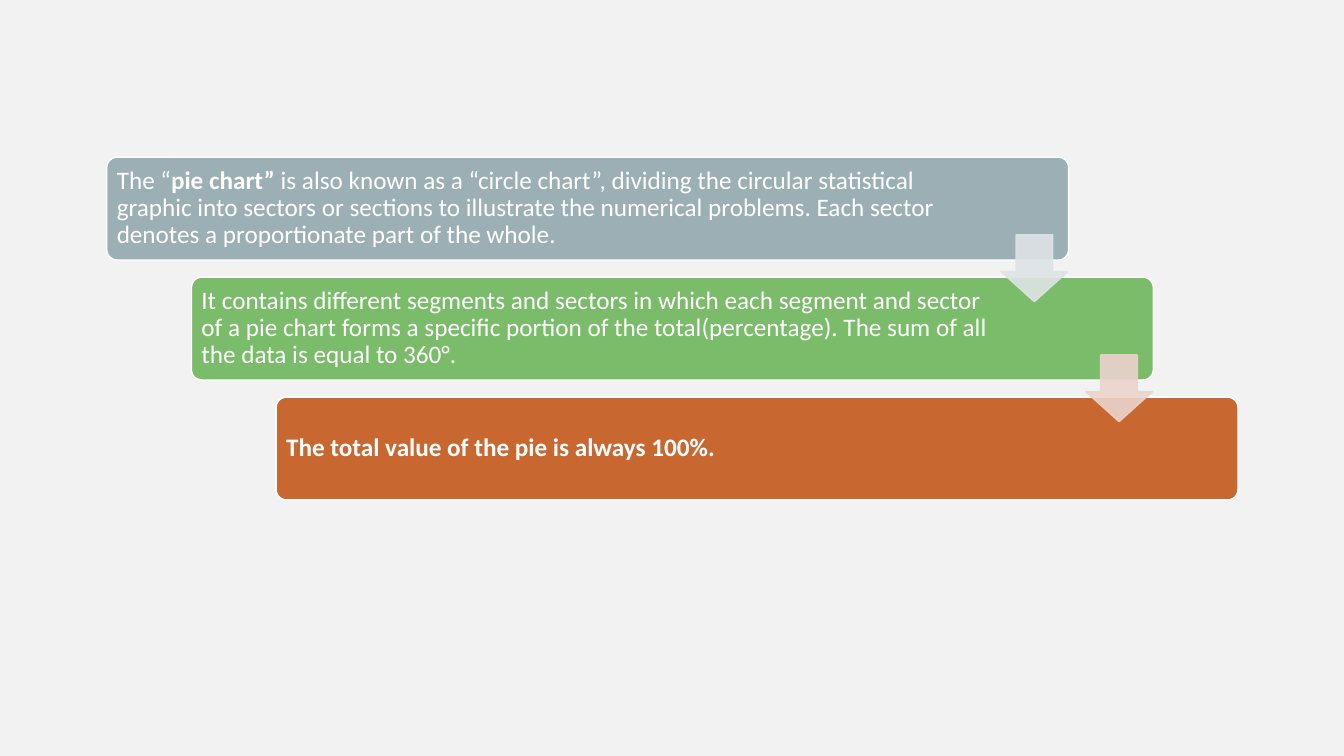
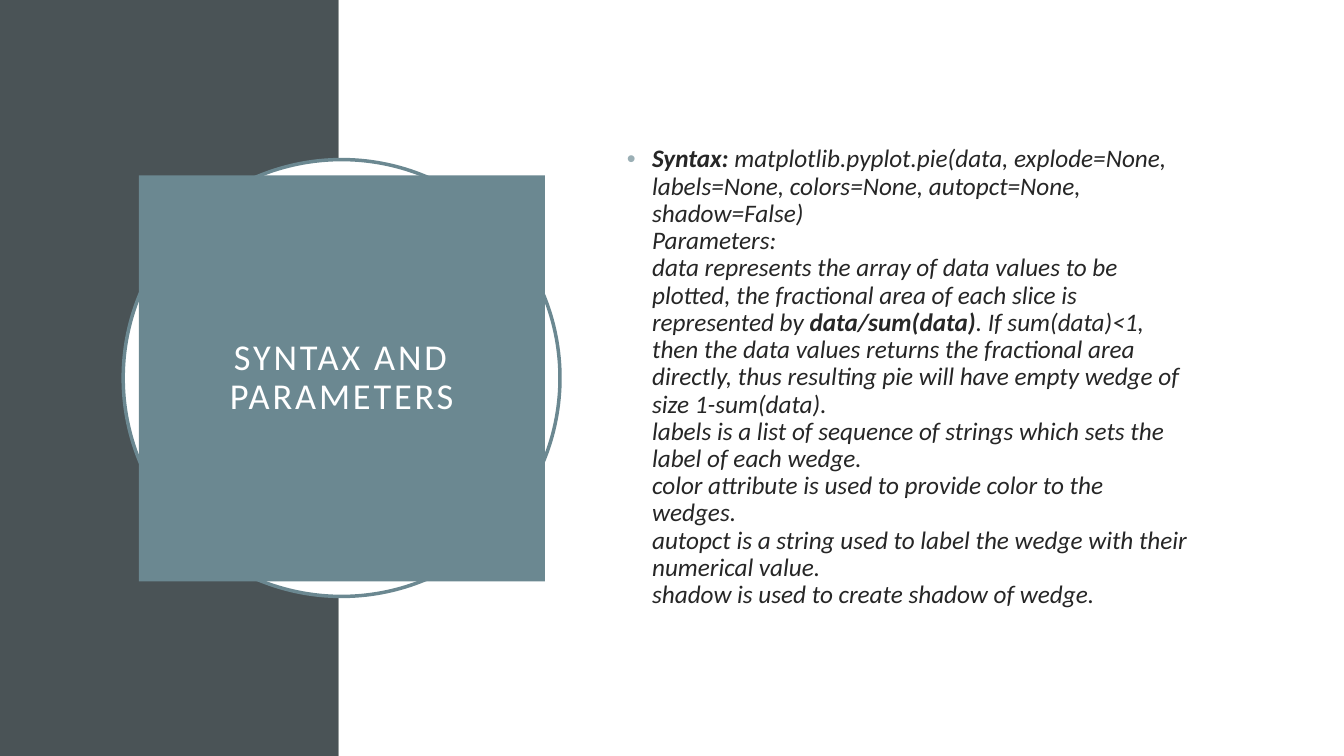
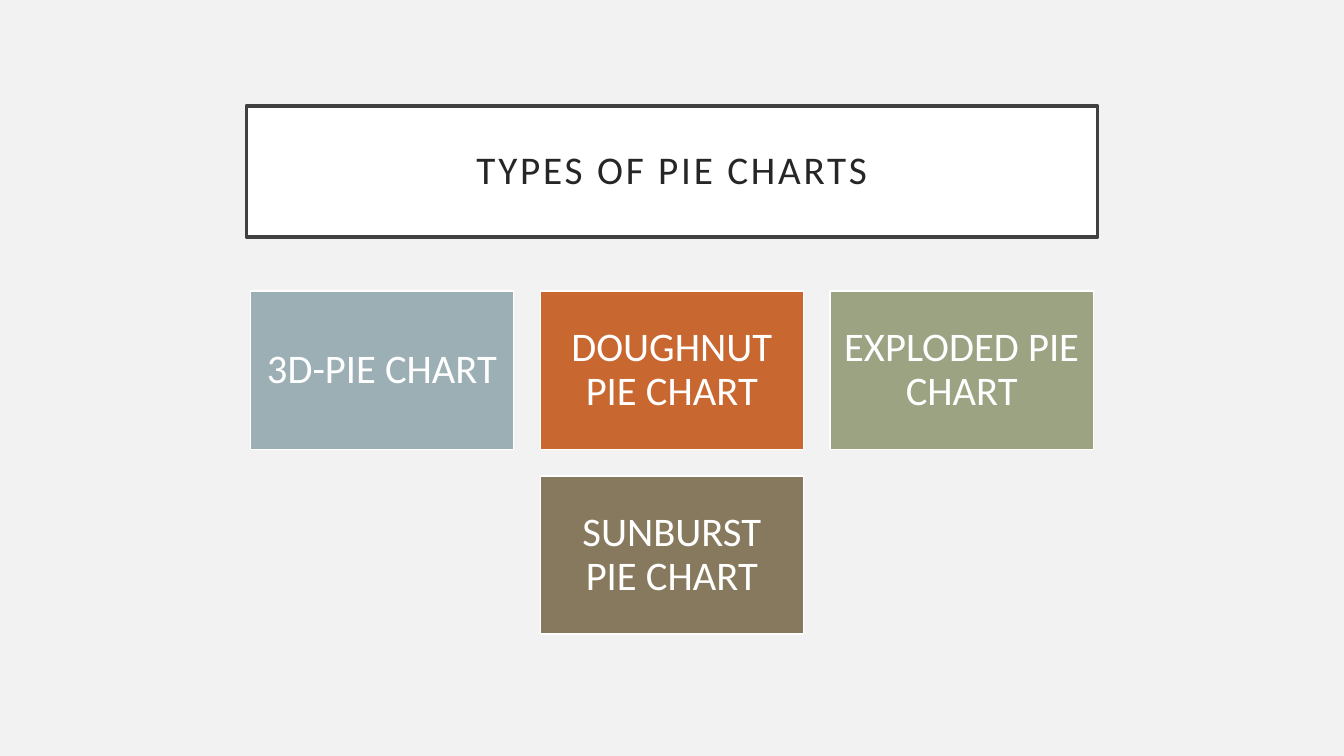
"""Build three slides about pie charts: definition, syntax and types."""
from copy import deepcopy
from dataclasses import dataclass

from lxml import etree
from pptx import Presentation
from pptx.dml.color import RGBColor
from pptx.enum import shapes, text
from pptx.oxml import ns
from pptx.util import Pt


@dataclass(frozen=True)
class Theme:
    font: str = "Calibri"
    paper: str = "F2F2F2"
    white: str = "FFFFFF"
    ink: str = "262626"
    frame: str = "404040"
    slate: str = "4A5356"
    teal: str = "6B8891"
    mist: str = "9BAFB5"
    green: str = "7ABC69"
    orange: str = "C96731"
    sage: str = "9CA383"
    olive: str = "87795D"
    pale_mist: str = "DEE3E5"
    pale_orange: str = "EBD3CD"
    body_size: int = 18
    side_title_size: int = 26
    title_size: int = 28
    tile_size: int = 29


theme = Theme()
kinds = shapes.MSO_SHAPE


def paint(box, place, fill, line=None, width=1):
    for name, value in zip(("left", "top", "width", "height"), place):
        setattr(box, name, Pt(value))
    box.fill.solid()
    box.fill.fore_color.rgb = RGBColor.from_string(fill)
    if line:
        box.line.color.rgb = RGBColor.from_string(line)
        box.line.width = Pt(width)
    else:
        box.line.fill.background()
    return box


def write(box, spans, size, color, insets, align=text.PP_ALIGN.LEFT):
    frame = box.text_frame
    frame.clear()
    layout = {"word_wrap": True, "auto_size": text.MSO_AUTO_SIZE.NONE,
              "vertical_anchor": text.MSO_ANCHOR.MIDDLE}
    for side, value in zip(("left", "top", "right", "bottom"), insets):
        layout[f"margin_{side}"] = Pt(value)
    for name, value in layout.items():
        setattr(frame, name, value)
    para = frame.paragraphs[0]
    para.alignment, para.line_spacing = align, 0.9
    for words, styles in spans:
        for number, line in enumerate(words.split("\n")):
            if number:
                para.add_line_break()
            span = para.add_run()
            span.text = line
            formats = {"name": theme.font, "size": Pt(size), "bold": False, **styles}
            for name, value in formats.items():
                setattr(span.font, name, value)
            span.font.color.rgb = RGBColor.from_string(color)
    for line_break in box.element.iter(ns.qn("a:br")):
        line_break.append(deepcopy(line_break.getprevious().find(ns.qn("a:rPr"))))
    return para


deck = Presentation()
deck.slide_width, deck.slide_height = Pt(960), Pt(540)
pages = []
for layout_number, color in ((6, theme.paper), (1, theme.white), (5, theme.paper)):
    page = deck.slides.add_slide(deck.slide_layouts[layout_number])
    page.background.fill.solid()
    page.background.fill.fore_color.rgb = RGBColor.from_string(color)
    pages.append(page)
facts_page, syntax_page, types_page = pages

bold = {"bold": True}
facts = [
    (theme.mist, 80, [
        ("The “", {}), ("pie chart”", bold),
        (" is also known as a “circle chart”, dividing the circular statistical graphic "
         "into sectors or sections to illustrate the numerical problems. Each sector "
         "denotes a proportionate part of the whole.", {})]),
    (theme.green, 114, [
        ("It contains different segments and sectors in which each segment and sector of "
         "a pie chart forms a specific portion of the total(percentage). The sum of all "
         "the data is equal to 360°.", {})]),
    (theme.orange, 114, [("The total value of the pie is always 100%.", bold)]),
]
card_left, card_top, step_x, step_y = 76.3, 112.3, 60.5, 85.7
for number, (color, right_inset, spans) in enumerate(facts):
    place = (card_left + number * step_x, card_top + number * step_y, 687, 73.4)
    card = facts_page.shapes.add_shape(kinds.ROUNDED_RECTANGLE, 0, 0, 0, 0)
    card.shadow.inherit = False
    card.adjustments[0] = 0.1
    paint(card, place, color, theme.white)
    write(card, spans, theme.body_size, theme.white, (5, 3, right_inset, 3))

for number, color in enumerate((theme.pale_mist, theme.pale_orange)):
    place = (715 + number * step_x, 167.8 + number * step_y, 47.7, 47.7)
    arrow = facts_page.shapes.add_shape(kinds.DOWN_ARROW, 0, 0, 0, 0)
    arrow.shadow.inherit = False
    arrow.adjustments[0], arrow.adjustments[1] = 0.55, 0.45
    paint(arrow, place, color, color)
    for tint in arrow.element.iter(ns.qn("a:srgbClr")):
        etree.SubElement(tint, ns.qn("a:alpha"), val="90000")

band_width = 242
backdrop = [
    (kinds.RECTANGLE, (0, 0, band_width, 540), theme.slate, None),
    (kinds.RECTANGLE, (band_width, 0, 960 - band_width, 540), theme.white, None),
    (kinds.OVAL, (88, 114, 312, 312), theme.white, theme.teal),
]
for kind, place, fill, line in backdrop:
    panel = syntax_page.shapes.add_shape(kind, 0, 0, 0, 0)
    panel.shadow.inherit = False
    paint(panel, place, fill, line, 2.5)

titles = [
    (syntax_page, "SYNTAX AND PARAMETERS", (99.2, 125.2, 290, 290),
     theme.teal, None, theme.side_title_size, theme.white),
    (types_page, "TYPES OF PIE CHARTS", (176, 75.6, 608, 93.6),
     theme.white, theme.frame, theme.title_size, theme.ink),
]
for page, words, place, fill, line, size, color in titles:
    title = paint(page.shapes.title, place, fill, line, 2.5)
    write(title, [(words, {})], size, color, (14.4,) * 4, text.PP_ALIGN.CENTER)
    for properties in title.element.iter(ns.qn("a:rPr")):
        properties.set("spc", "200")

body = syntax_page.placeholders[1]
paint(body, (440.6, 110.2, 419, 319), theme.white)
italic = {"italic": True}
strong = {**italic, **bold}
para = write(body, [
    ("Syntax: ", strong),
    ("matplotlib.pyplot.pie(data, explode=None, labels=None, colors=None, autopct=None, "
     "shadow=False)\nParameters:\ndata represents the array of data values to be plotted, "
     "the fractional area of each slice is represented by ", italic),
    ("data/sum(data)", strong),
    (". If sum(data)<1, then the data values returns the fractional area directly, thus "
     "resulting pie will have empty wedge of size 1-sum(data).\n"
     "labels is a list of sequence of strings which sets the label of each wedge.\n"
     "color attribute is used to provide color to the wedges.\n"
     "autopct is a string used to label the wedge with their numerical value.\n"
     "shadow is used to create shadow of wedge.", italic),
], theme.body_size, theme.ink, (7.2, 3.6, 7.2, 3.6))
para.space_before = Pt(10)
for properties in body.element.iter(ns.qn("a:pPr")):
    properties.set("marL", str(Pt(18)))
    properties.set("indent", str(-Pt(18)))
    bullet_color = etree.SubElement(properties, ns.qn("a:buClr"))
    etree.SubElement(bullet_color, ns.qn("a:srgbClr"), val=theme.mist)
    etree.SubElement(properties, ns.qn("a:buChar"), char="•")

for element in (syntax_page.shapes.title.element, body.element):
    syntax_page.shapes[-1].element.addnext(element)

tile_rows = [
    [("3D-PIE CHART", theme.mist), ("DOUGHNUT PIE CHART", theme.orange),
     ("EXPLODED PIE CHART", theme.sage)],
    [("SUNBURST PIE CHART", theme.olive)],
]
tile_width, tile_height, gap = 188, 113, 19
for row, tiles in enumerate(tile_rows):
    row_left = (960 - len(tiles) * (tile_width + gap) + gap) / 2
    for column, (words, color) in enumerate(tiles):
        place = (row_left + column * (tile_width + gap),
                 208 + row * (tile_height + gap), tile_width, tile_height)
        tile = types_page.shapes.add_shape(kinds.RECTANGLE, 0, 0, 0, 0)
        tile.shadow.inherit = False
        paint(tile, place, color, theme.white)
        write(tile, [(words, {})], theme.tile_size, theme.white, (8.6,) * 4,
              text.PP_ALIGN.CENTER)

deck.save("out.pptx")
